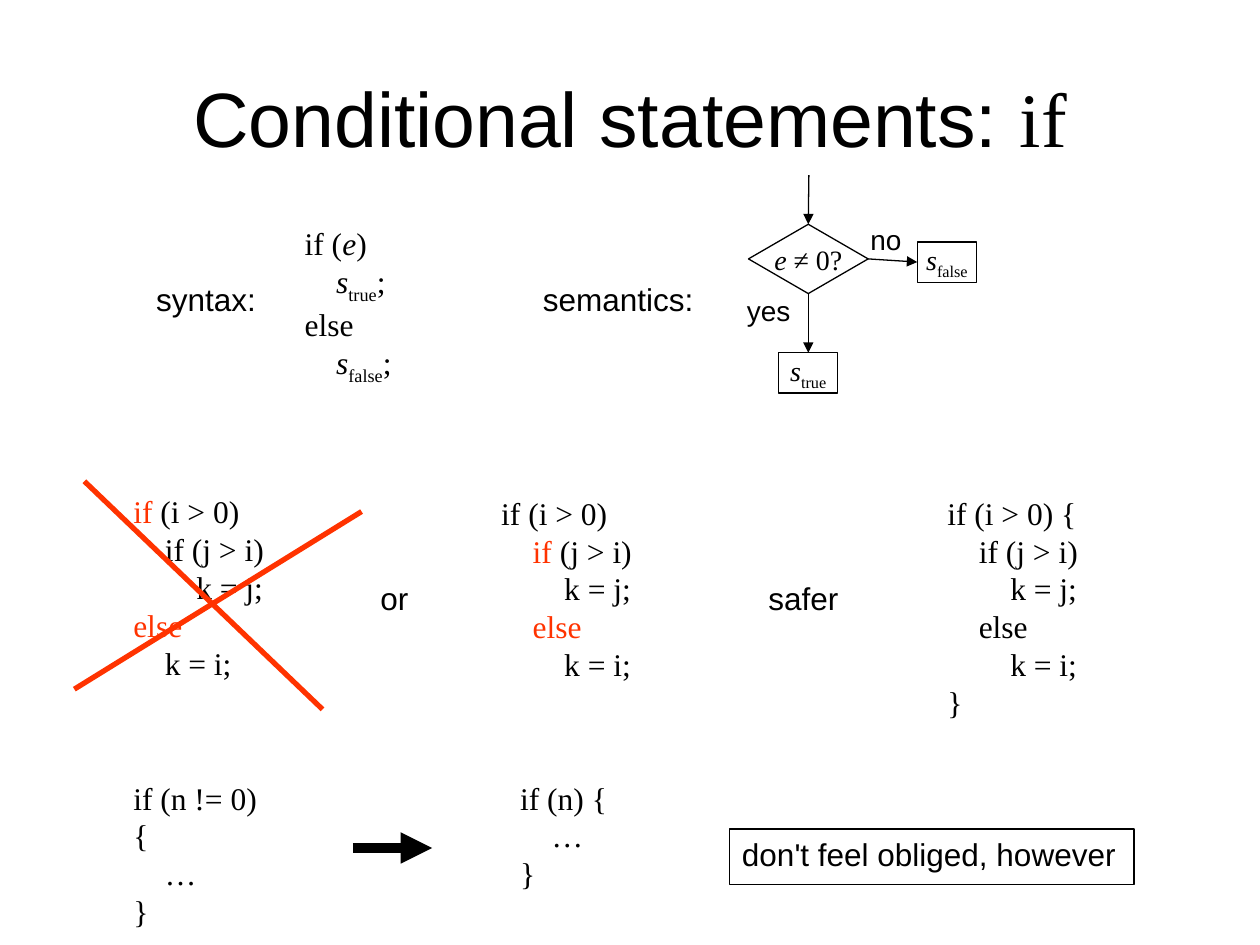
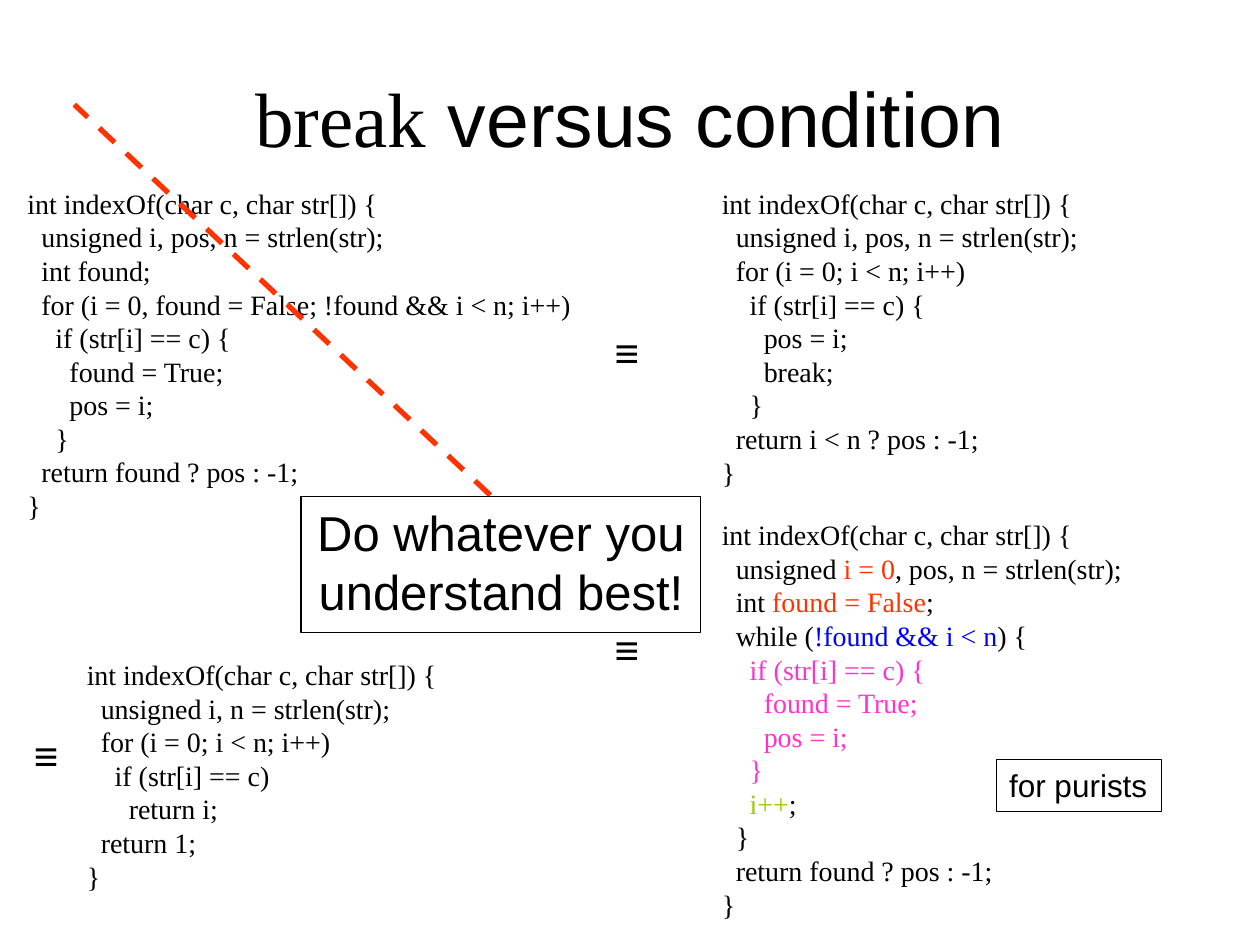
from dataclasses import dataclass

from lxml import etree
from pptx import Presentation
from pptx.dml.color import RGBColor
from pptx.enum.dml import MSO_LINE
from pptx.enum.shapes import MSO_CONNECTOR, MSO_SHAPE
from pptx.enum.text import MSO_ANCHOR, MSO_AUTO_SIZE, PP_ALIGN
from pptx.oxml.ns import qn
from pptx.util import Inches, Pt

LEFT, CENTER = PP_ALIGN.LEFT, PP_ALIGN.CENTER
TOP, MIDDLE = MSO_ANCHOR.TOP, MSO_ANCHOR.MIDDLE
GROW, FIXED = MSO_AUTO_SIZE.SHAPE_TO_FIT_TEXT, MSO_AUTO_SIZE.NONE
RECTANGLE = MSO_SHAPE.RECTANGLE
DECISION, PROCESS = MSO_SHAPE.FLOWCHART_DECISION, MSO_SHAPE.FLOWCHART_PROCESS
STRAIGHT, DASH = MSO_CONNECTOR.STRAIGHT, MSO_LINE.DASH
TOP_SIDE, LEFT_SIDE, BOTTOM_SIDE, RIGHT_SIDE = range(4)
TITLE_ONLY = 5


@dataclass(frozen=True)
class Theme:
    sans: str = "Arial"
    serif: str = "Times New Roman"
    black: str = "000000"
    white: str = "FFFFFF"
    red: str = "FF3300"
    blue: str = "0000FF"
    pink: str = "FF33CC"
    green: str = "99CC00"
    title: int = 44
    callout: int = 28
    symbol: int = 24
    body: int = 18
    small: int = 16
    thin: float = 0.75
    frame: float = 1
    bold_line: float = 3
    heavy: float = 6


THEME = Theme()


def styled(text, **style):
    """Return a span whose style differs from the rest of its line."""
    return text, style


def colored(text, color):
    return styled(text, color=color)


def italic(text):
    return styled(text, italic=True)


def subscript(text):
    return styled(text, baseline=-25000)


def write_span(para, text, font=THEME.sans, size=THEME.body,
               color=THEME.black, italic=False, baseline=0):
    span = para.add_run()
    span.text = text
    span.font.name = font
    span.font.size = Pt(size)
    span.font.italic = italic
    span.font.color.rgb = RGBColor.from_string(color)
    if baseline:
        span._r.get_or_add_rPr().set("baseline", str(baseline))


def write_lines(frame, lines, *, align=LEFT, anchor=TOP, wrap=False,
                fit=GROW, indent=0, **style):
    """Write each line as a paragraph: a string, or (depth, span, span, ...)."""
    frame.word_wrap = wrap
    frame.auto_size = fit
    frame.vertical_anchor = anchor
    for index, line in enumerate(lines):
        para = frame.paragraphs[0] if index == 0 else frame.add_paragraph()
        para.alignment = align
        depth, *spans = (0, line) if isinstance(line, str) else line
        if depth:
            properties = para._p.get_or_add_pPr()
            properties.set("marL", str(Pt(indent * depth)))
            properties.set("indent", "0")
        for span in spans:
            text, changes = (span, {}) if isinstance(span, str) else span
            write_span(para, text, **{**style, **changes})


def add_page(deck, *title):
    page = deck.slides.add_slide(deck.slide_layouts[TITLE_ONLY])
    box = page.shapes.title
    box.left, box.top = Inches(0.5), Inches(0.3)
    box.width, box.height = Inches(9), Inches(1.25)
    write_lines(box.text_frame, [(0, *title)], align=CENTER, anchor=MIDDLE,
                wrap=True, fit=FIXED, size=THEME.title)
    return page


def add_label(page, place, lines, **style):
    box = page.shapes.add_textbox(*map(Inches, place))
    write_lines(box.text_frame, lines, **style)


def add_code(page, place, lines, *, size=THEME.body, spaces=4, wrap=False):
    """Add code whose depth steps are as wide as the given number of spaces."""
    add_label(page, place, lines, font=THEME.serif, size=size, wrap=wrap,
              indent=spaces * size / 4)


def add_listing(page, place, lines):
    add_code(page, place, lines, size=THEME.small, spaces=2)


def add_box(page, place, lines, *, shape=RECTANGLE, fill=None,
            line_width=THEME.frame, **style):
    box = page.shapes.add_shape(shape, *map(Inches, place))
    box.shadow.inherit = False
    if fill:
        box.fill.solid()
        box.fill.fore_color.rgb = RGBColor.from_string(fill)
    else:
        box.fill.background()
    box.line.color.rgb = RGBColor.from_string(THEME.black)
    box.line.width = Pt(line_width)
    write_lines(box.text_frame, lines, **style)
    return box


def add_flow_step(page, place, *spans, shape=PROCESS):
    return add_box(page, place, [(0, *spans)], shape=shape, fill=THEME.white,
                   line_width=THEME.thin, align=CENTER, anchor=MIDDLE,
                   fit=FIXED, font=THEME.serif, size=THEME.small)


def add_line(page, start, end, *, color=THEME.black, width=THEME.thin,
             dash=None, arrow=False):
    line = page.shapes.add_connector(STRAIGHT, *map(Inches, (*start, *end)))
    line.line.color.rgb = RGBColor.from_string(color)
    line.line.width = Pt(width)
    if dash:
        line.line.dash_style = dash
    if arrow:
        outline = line.line._get_or_add_ln()
        etree.SubElement(outline, qn("a:tailEnd"), type="triangle")
    etree.SubElement(line._element.spPr, qn("a:effectLst"))
    return line


def add_flowchart(page):
    test = add_flow_step(page, (5.94, 1.78, 0.95, 0.55),
                         italic("e "), "≠ 0?", shape=DECISION)
    when_true = add_flow_step(page, (6.18, 2.8, 0.47, 0.32),
                              italic("s"), subscript("true"))
    when_false = add_flow_step(page, (7.28, 1.92, 0.47, 0.32),
                               italic("s"), subscript("false"))
    yes = add_line(page, (6.42, 2.33), (6.42, 2.8), arrow=True)
    yes.begin_connect(test, BOTTOM_SIDE)
    yes.end_connect(when_true, TOP_SIDE)
    no = add_line(page, (6.89, 2.06), (7.28, 2.08), arrow=True)
    no.begin_connect(test, RIGHT_SIDE)
    no.end_connect(when_false, LEFT_SIDE)
    entry = add_line(page, (6.42, 1.39), (6.42, 1.78), arrow=True)
    entry.end_connect(test, TOP_SIDE)
    add_label(page, (5.83, 2.28, 0.55, 0.37), ["yes"], size=THEME.small)
    add_label(page, (6.81, 1.72, 0.45, 0.37), ["no"], size=THEME.small)


def add_if_page(deck):
    page = add_page(deck, "Conditional statements: ",
                    styled("if", font=THEME.serif))
    add_code(page, (2.32, 1.73, 1.83, 1.3), [
        (0, "if (", italic("e"), ")"),
        (1, italic("s"), subscript("true"), ";"),
        "else",
        (1, italic("s"), subscript("false"), ";"),
    ], wrap=True)
    add_code(page, (0.96, 3.86, 1.83, 1.6), [
        (0, colored("if", THEME.red), " (i > 0)"),
        (1, "if (j > i)"),
        (2, "k = j;"),
        (0, colored("else", THEME.red)),
        (1, "k = i;"),
    ], wrap=True)
    add_code(page, (3.88, 3.87, 1.83, 1.6), [
        "if (i > 0)",
        (1, colored("if", THEME.red), " (j > i)"),
        (2, "k = j;"),
        (1, colored("else", THEME.red)),
        (2, "k = i;"),
    ], wrap=True)
    add_code(page, (7.42, 3.87, 1.83, 1.9), [
        "if (i > 0) {",
        (1, "if (j > i)"),
        (2, "k = j;"),
        (1, "else"),
        (2, "k = i;"),
        "}",
    ], wrap=True)
    for start, end in (((0.67, 3.82), (2.56, 5.63)),
                       ((0.59, 5.47), (2.87, 4.06))):
        add_line(page, start, end, color=THEME.red, width=THEME.bold_line)
    for left, width, condition in ((0.96, 1.36, "n != 0"), (4.03, 0.89, "n")):
        add_code(page, (left, 6.13, width, 1),
                 [f"if ({condition}) {{", (1, "…"), "}"])
    add_line(page, (2.8, 6.73), (3.43, 6.73), width=THEME.heavy, arrow=True)
    add_box(page, (5.79, 6.58, 3.21, 0.44), ["don't feel obliged, however"])
    for left, top, width, label in ((1.14, 2.17, 0.99, "syntax:"),
                                    (4.21, 2.17, 1.4, "semantics:"),
                                    (2.92, 4.55, 0.42, "or"),
                                    (6, 4.55, 0.76, "safer")):
        add_label(page, (left, top, width, 0.4), [label])
    add_flowchart(page)


def add_break_page(deck):
    page = add_page(deck, styled("break", font=THEME.serif),
                    " versus condition")
    signature = "int indexOf(char c, char str[]) {"
    add_listing(page, (0.12, 1.43, 4.53, 2.77), [
        signature,
        (1, "unsigned i, pos, n = strlen(str);"),
        (1, "int found;"),
        (1, "for (i = 0, found = False; !found && i < n; i++)"),
        (2, "if (str[i] == c) {"),
        (3, "found = True;"),
        (3, "pos = i;"),
        (2, "}"),
        (1, "return found ? pos : -1;"),
        "}",
    ])
    add_line(page, (4.53, 4.53), (0.59, 0.83), color=THEME.red,
             width=THEME.bold_line, dash=DASH)
    add_listing(page, (5.63, 1.43, 3.05, 2.51), [
        signature,
        (1, "unsigned i, pos, n = strlen(str);"),
        (1, "for (i = 0; i < n; i++)"),
        (2, "if (str[i] == c) {"),
        (3, "pos = i;"),
        (3, "break;"),
        (2, "}"),
        (1, "return i < n ? pos : -1;"),
        "}",
    ])
    add_box(page, (7.91, 6.03, 1.31, 0.41), ["for purists"],
            line_width=THEME.thin)
    add_listing(page, (5.63, 4.06, 3.39, 3.31), [
        signature,
        (1, "unsigned ", colored("i = 0", THEME.red),
         ", pos, n = strlen(str);"),
        (1, "int ", colored("found = False", THEME.red), ";"),
        (1, "while (", colored("!found && i < n", THEME.blue), ") {"),
        (2, colored("if (str[i] == c) {", THEME.pink)),
        (3, colored("found = True;", THEME.pink)),
        (3, colored("pos = i;", THEME.pink)),
        (2, colored("}", THEME.pink)),
        (2, colored("i++", THEME.green), ";"),
        (1, "}"),
        (1, "return found ? pos : -1;"),
        "}",
    ])
    add_box(page, (2.39, 3.94, 3.17, 1.08),
            ["Do whatever you", "understand best!"],
            fill=THEME.white, align=CENTER, size=THEME.callout)
    add_listing(page, (0.59, 5.17, 3.02, 1.99), [
        signature,
        (1, "unsigned i, n = strlen(str);"),
        (1, "for (i = 0; i < n; i++)"),
        (2, "if (str[i] == c)"),
        (3, "return i;"),
        (1, "return 1;"),
        "}",
    ])
    for left, top in ((4.78, 2.54), (4.78, 4.9), (0.17, 5.74)):
        add_label(page, (left, top, 0.38, 0.51), ["≡"], size=THEME.symbol)


def main():
    deck = Presentation()
    deck.slide_width, deck.slide_height = Inches(10), Inches(7.5)
    add_if_page(deck)
    add_break_page(deck)
    deck.save("out.pptx")


if __name__ == "__main__":
    main()
